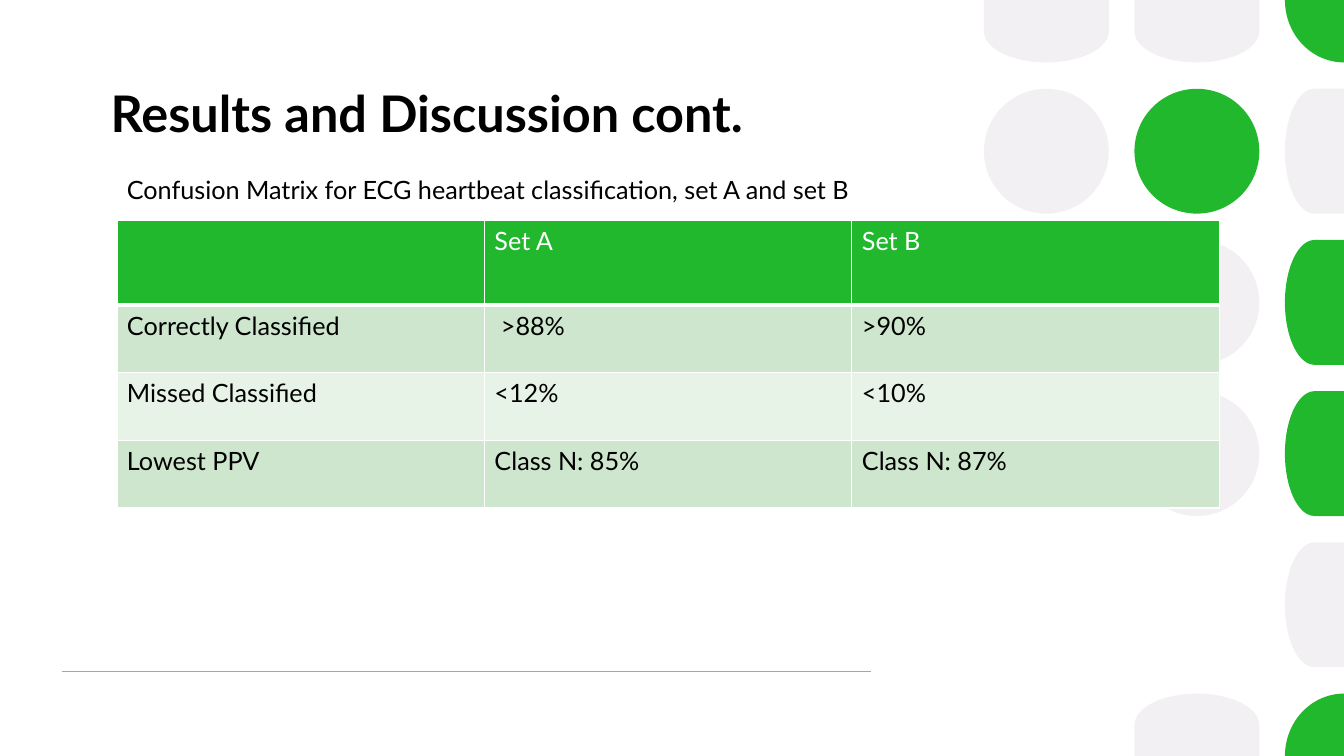
from lxml.etree import SubElement
from pptx import Presentation
from pptx.dml.color import RGBColor
from pptx.enum.shapes import MSO_CONNECTOR, MSO_SHAPE
from pptx.oxml.ns import qn
from pptx.util import Pt

GREEN = RGBColor(0x21, 0xB8, 0x2E)
PALE = RGBColor(0xF3, 0xF0, 0xF3)
BAND_DARK = RGBColor(0xCD, 0xE6, 0xCD)
BAND_LIGHT = RGBColor(0xE8, 0xF3, 0xE8)
GREY = RGBColor(0xA6, 0xA6, 0xA6)
BLACK = RGBColor(0, 0, 0)
WHITE = RGBColor(0xFF, 0xFF, 0xFF)

PAGE_WIDTH, PAGE_HEIGHT = 960, 540
FONT = "Lato"
RADIUS = 44.6
FIRST_CENTRE_X, STEP_X, STEP_Y = 747.4, 107.5, 108
DOT_COLOURS = {"P": PALE, "G": GREEN}
DOT_ROWS = ["PPG", "PGP", "-PG", "-PG", "--P", "-PG"]
DOT_FORMS = {
    ("", ""): (MSO_SHAPE.OVAL, 0),
    ("top", ""): (MSO_SHAPE.FLOWCHART_DELAY, 90),
    ("bottom", ""): (MSO_SHAPE.FLOWCHART_DELAY, 270),
    ("", "right"): (MSO_SHAPE.FLOWCHART_DELAY, 180),
    ("top", "right"): (MSO_SHAPE.PIE_WEDGE, 270),
    ("bottom", "right"): (MSO_SHAPE.PIE_WEDGE, 0),
}

RESULTS = [
    ["", "Set A", "Set B"],
    ["Correctly Classified", " >88%", ">90%"],
    ["Missed Classified", "<12%", "<10%"],
    ["Lowest PPV", "Class N: 85%", "Class N: 87%"],
]
ROW_FILLS = [GREEN, BAND_DARK, BAND_LIGHT, BAND_DARK]
ROW_HEIGHTS = [60.3, 48.3, 48.3, 48.3]
COLUMN_WIDTH = 262.5


def write(frame, text, size, colour, bold=False):
    span = frame.paragraphs[0].add_run()
    span.text = text
    span.font.color.rgb = colour
    for name, value in {"name": FONT, "size": Pt(size), "bold": bold}.items():
        setattr(span.font, name, value)


def add_text(page, left, top, width, height, text, size, bold=False):
    box = page.shapes.add_textbox(Pt(left), Pt(top), Pt(width), Pt(height))
    box.text_frame.word_wrap = True
    write(box.text_frame, text, size, BLACK, bold)


def add_dot(page, x, y, colour):
    left, right = x - RADIUS, min(x + RADIUS, PAGE_WIDTH)
    top, bottom = max(y - RADIUS, 0), min(y + RADIUS, PAGE_HEIGHT)
    row_edge = "top" if y < RADIUS else "bottom" if y > PAGE_HEIGHT - RADIUS else ""
    column_edge = "right" if x > PAGE_WIDTH - RADIUS else ""
    form, turn = DOT_FORMS[row_edge, column_edge]
    width, height = right - left, bottom - top
    if turn in (90, 270):
        width, height = height, width
    dot = page.shapes.add_shape(form, Pt((left + right - width) / 2),
                                Pt((top + bottom - height) / 2), Pt(width), Pt(height))
    dot.rotation = turn
    dot.shadow.inherit = False
    dot.fill.solid()
    dot.fill.fore_color.rgb = colour
    dot.line.fill.background()


def add_dot_grid(page):
    for row, marks in enumerate(DOT_ROWS):
        for column, mark in enumerate(marks):
            if mark in DOT_COLOURS:
                add_dot(page, FIRST_CENTRE_X + column * STEP_X, row * STEP_Y,
                        DOT_COLOURS[mark])


def add_rule(page, left, right, y):
    rule = page.shapes.add_connector(MSO_CONNECTOR.STRAIGHT,
                                     Pt(left), Pt(y), Pt(right), Pt(y))
    rule.line.color.rgb = GREY
    rule.line.width = Pt(1)
    SubElement(rule._element.spPr, qn("a:effectLst"))


def set_borders(cell, widths):
    properties = cell._tc.get_or_add_tcPr()
    for side, width in widths.items():
        line = SubElement(properties, qn(f"a:ln{side}"), w=str(Pt(width)))
        fill = SubElement(line, qn("a:solidFill"))
        SubElement(fill, qn("a:srgbClr"), val=str(WHITE))


def add_results_table(page, left, top):
    columns = len(RESULTS[0])
    table = page.shapes.add_table(len(RESULTS), columns, Pt(left), Pt(top),
                                  Pt(columns * COLUMN_WIDTH),
                                  Pt(sum(ROW_HEIGHTS))).table
    for column in table.columns:
        column.width = Pt(COLUMN_WIDTH)
    for row, texts in enumerate(RESULTS):
        table.rows[row].height = Pt(ROW_HEIGHTS[row])
        for column, text in enumerate(texts):
            cell = table.cell(row, column)
            set_borders(cell, {"L": 1, "R": 1, "T": 3 if row == 1 else 1,
                               "B": 3 if row == 0 else 1})
            cell.fill.solid()
            cell.fill.fore_color.rgb = ROW_FILLS[row]
            if text:
                write(cell.text_frame, text, 18, BLACK if row else WHITE)


def main():
    deck = Presentation()
    deck.slide_width, deck.slide_height = Pt(PAGE_WIDTH), Pt(PAGE_HEIGHT)
    page = deck.slides.add_slide(deck.slide_layouts[6])
    add_dot_grid(page)
    add_rule(page, 44.6, 622, 479.5)
    add_results_table(page, 83.5, 157.7)
    add_text(page, 72, 55.4, 571, 51, "Results and Discussion cont.", 36, bold=True)
    add_text(page, 83.5, 121, 587.5, 29,
             "Confusion Matrix for ECG heartbeat classification, set A and set B", 18)
    deck.save("out.pptx")


if __name__ == "__main__":
    main()
